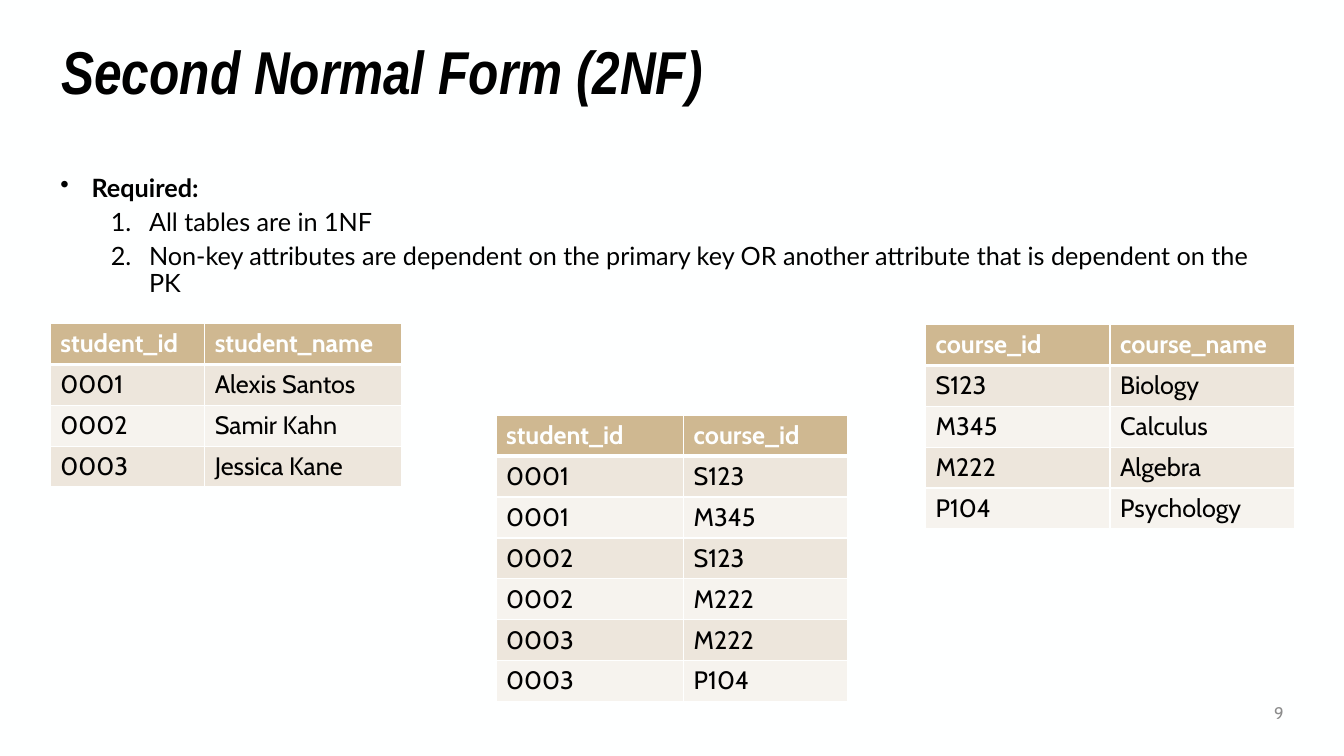
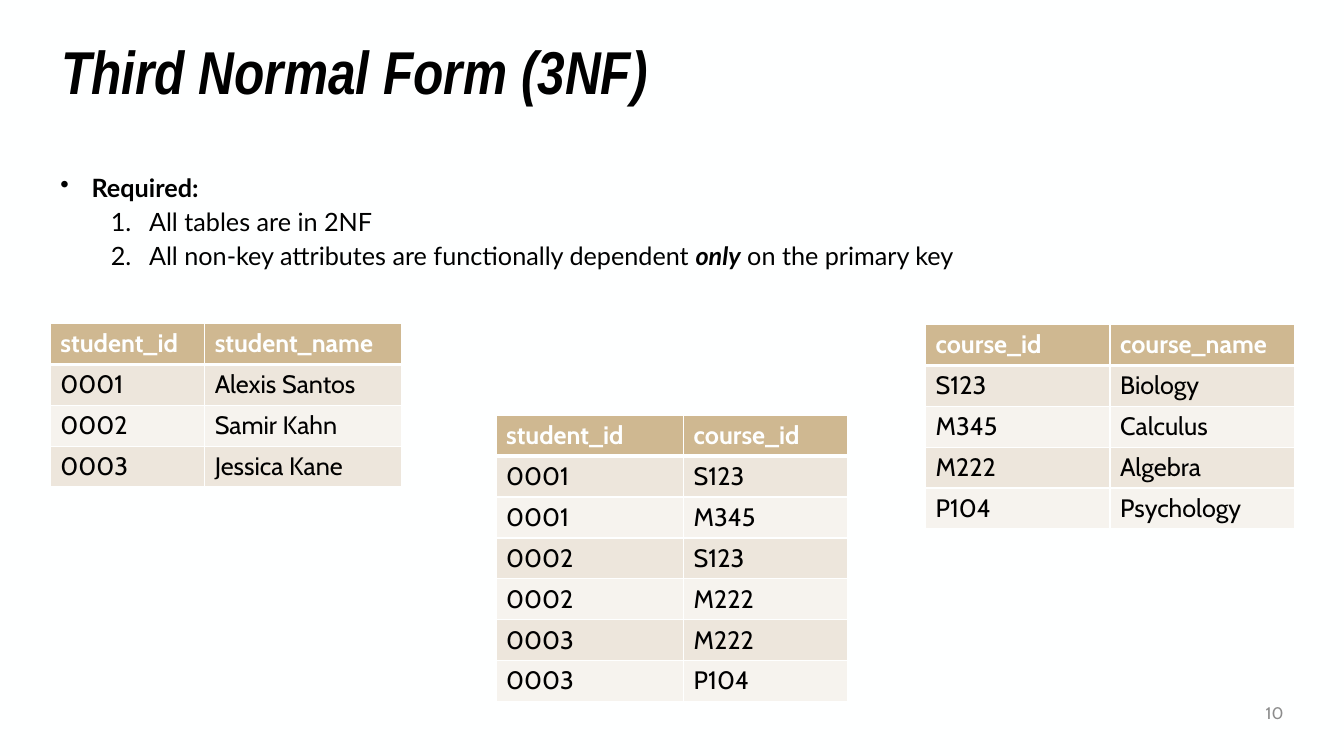
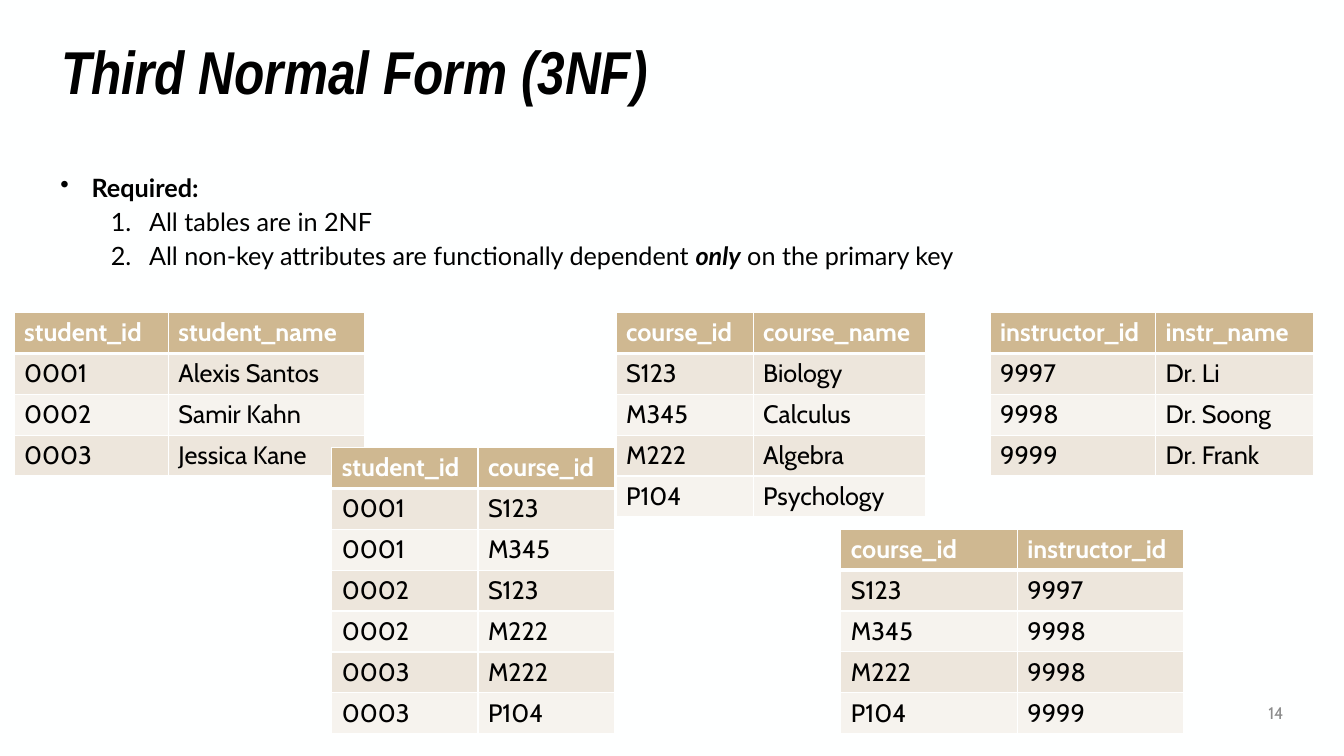
from pptx import Presentation
from pptx import util as u
from pptx.dml.color import RGBColor
from pptx.enum import text
from pptx.oxml import parse_xml
from pptx.oxml.ns import nsdecls

# Content: table data, first row is the header
STUDENTS = [("student_id", "student_name"), ("0001", "Alexis Santos"),
            ("0002", "Samir Kahn"), ("0003", "Jessica Kane")]
COURSES = [("course_id", "course_name"), ("S123", "Biology"), ("M345", "Calculus"),
           ("M222", "Algebra"), ("P104", "Psychology")]
ENROLMENTS = [("student_id", "course_id"), ("0001", "S123"), ("0001", "M345"),
              ("0002", "S123"), ("0002", "M222"), ("0003", "M222"), ("0003", "P104")]
INSTRUCTORS = [("instructor_id", "instr_name"), ("9997", "Dr. Li"),
               ("9998", "Dr. Soong"), ("9999", "Dr. Frank")]
TEACHING = [("course_id", "instructor_id"), ("S123", "9997"), ("M345", "9998"),
            ("M222", "9998"), ("P104", "9999")]

# Table placements: data, left, top, column widths
THREE_TABLES = [(STUDENTS, 50, 321, (153, 195)),
                (COURSES, 918, 322, (183, 183)),
                (ENROLMENTS, 492, 412, (186, 163))]
FIVE_TABLES = [(STUDENTS, 14, 310, (153, 195)),
               (COURSES, 611, 310, (136, 171)),
               (ENROLMENTS, 329, 444, (145, 136)),
               (INSTRUCTORS, 982, 310, (164, 157)),
               (TEACHING, 834, 525, (175, 165))]

# Asterisks enclose emphasised words
RULES_2NF = ["All tables are in 1NF",
             "Non-key attributes are dependent on the primary key OR another attribute "
             "that is dependent on the PK"]
RULES_3NF = ["All tables are in 2NF",
             "All non-key attributes are functionally dependent *only* on the primary key"]

SLIDES = [("Second Normal Form (2NF)", RULES_2NF, THREE_TABLES, "9"),
          ("Third Normal Form (3NF)", RULES_3NF, THREE_TABLES, "10"),
          ("Third Normal Form (3NF)", RULES_3NF, FIVE_TABLES, "14")]

# Shared style
PAPER, INK, GREY = "FEFFFF", "000000", "8C8C8C"
HEADER, BANDS = "CFB891", ("EDE6DC", "F6F3EE")
TITLE_FONT, BODY_FONT, TABLE_FONT = "Arial Narrow", "Lato", "Cabin"
TITLE_BOX = (51, 42, 1232, 64)
BODY_BOX = (50, 169, 1232, 487)
NUMBER_BOX = (1163, 688, 120, 40)
ROW_HEIGHT = 40.56
BULLET = '<a:buChar {} char="•"/>'
NUMBERED = '<a:buAutoNum {} type="arabicPeriod"/>'


def px(length):
    """100 px to the inch."""
    return u.Emu(round(length * 9144))


def color(value):
    return RGBColor.from_string(value)


def style(font, name, size, ink, bold=False, italic=False):
    font.name, font.size = name, u.Pt(size)
    font.bold, font.italic = bold, italic
    font.color.rgb = color(ink)


def add_frame(slide, box, anchor):
    frame = slide.shapes.add_textbox(*map(px, box)).text_frame
    frame.word_wrap = True
    frame.vertical_anchor = anchor
    return frame


def add_line(slide, box, words, align, *look):
    frame = add_frame(slide, box, text.MSO_ANCHOR.MIDDLE)
    frame.text = words
    line = frame.paragraphs[0]
    line.alignment = align
    line.line_spacing = 0.9
    style(line.runs[0].font, *look)


def set_list_item(paragraph, words, marker, indent, hang, bold=False):
    properties = paragraph._p.get_or_add_pPr()
    properties.set("marL", str(px(indent)))
    properties.set("indent", str(px(-hang)))
    properties.append(parse_xml(marker.format(nsdecls("a"))))
    paragraph.line_spacing = 0.9
    for i, part in enumerate(words.split("*")):
        run = paragraph.add_run()
        run.text = part
        emphasis = i % 2 == 1
        style(run.font, BODY_FONT, 18, INK, bold or emphasis, emphasis)


def add_requirements(slide, rules):
    frame = add_frame(slide, BODY_BOX, text.MSO_ANCHOR.TOP)
    set_list_item(frame.paragraphs[0], "Required:", BULLET, 31, 31, bold=True)
    for rule in rules:
        item = frame.add_paragraph()
        item.level = 1
        item.space_before = u.Pt(5)
        set_list_item(item, rule, NUMBERED, 88, 38)


def set_borders(cell, top, bottom):
    properties = cell._tc.get_or_add_tcPr()
    for side, points in (("L", 1), ("R", 1), ("T", top), ("B", bottom)):
        properties.append(parse_xml(
            f'<a:ln{side} {nsdecls("a")} w="{u.Pt(points)}"><a:solidFill>'
            f'<a:srgbClr val="{PAPER}"/></a:solidFill></a:ln{side}>'))


def add_data_table(slide, rows, left, top, widths):
    area = map(px, (left, top, sum(widths), ROW_HEIGHT * len(rows)))
    table = slide.shapes.add_table(len(rows), len(widths), *area).table
    for column, width in zip(table.columns, widths):
        column.width = px(width)
    for r, values in enumerate(rows):
        table.rows[r].height = px(ROW_HEIGHT)
        is_header = r == 0
        for c, value in enumerate(values):
            cell = table.cell(r, c)
            cell.text = value
            style(cell.text_frame.paragraphs[0].runs[0].font, TABLE_FONT, 18,
                  PAPER if is_header else INK, is_header)
            # A heavier rule separates header and data
            set_borders(cell, 3 if r == 1 else 1, 3 if is_header else 1)
            cell.fill.solid()
            cell.fill.fore_color.rgb = color(HEADER if is_header else BANDS[(r - 1) % 2])


def main():
    deck = Presentation()
    deck.slide_width, deck.slide_height = px(1333), px(750)
    background = deck.slide_master.background.fill
    background.solid()
    background.fore_color.rgb = color(PAPER)

    for title, rules, tables, number in SLIDES:
        slide = deck.slides.add_slide(deck.slide_layouts[6])
        add_requirements(slide, rules)
        add_line(slide, TITLE_BOX, title, text.PP_ALIGN.LEFT,
                 TITLE_FONT, 43.2, INK, True, True)
        add_line(slide, NUMBER_BOX, number, text.PP_ALIGN.RIGHT, TABLE_FONT, 12, GREY)
        for placement in tables:
            add_data_table(slide, *placement)
    deck.save("out.pptx")


if __name__ == "__main__":
    main()
